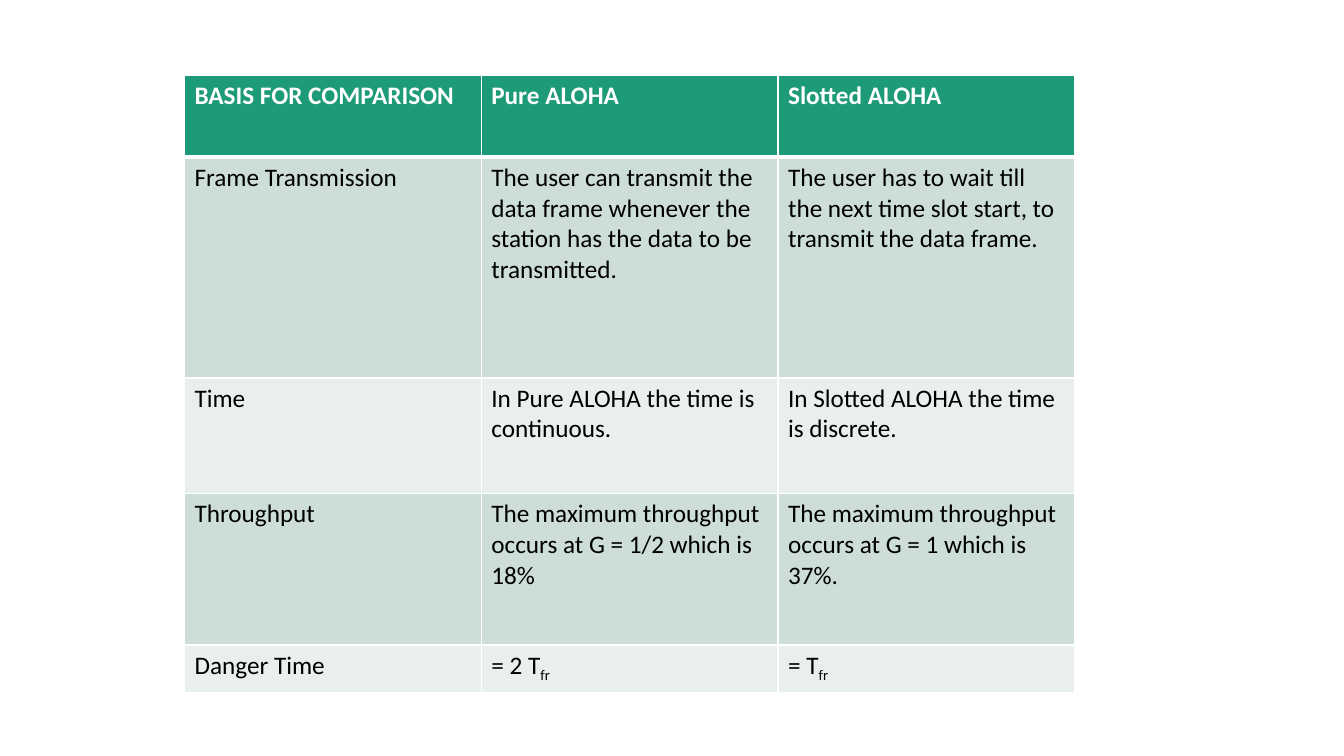
from lxml.etree import SubElement
from pptx import Presentation
from pptx.dml.color import RGBColor
from pptx.oxml.ns import qn
from pptx.util import Inches, Pt

WHITE = RGBColor(0xFF, 0xFF, 0xFF)
BLACK = RGBColor(0x00, 0x00, 0x00)
GREEN = RGBColor(0x1D, 0x9A, 0x78)
SAGE = RGBColor(0xCD, 0xDE, 0xD6)
PALE = RGBColor(0xE8, 0xEF, 0xEC)

# A cell is a text, or a (text, subscript) pair
COMPARISON = [
    ["BASIS FOR COMPARISON", "Pure ALOHA", "Slotted ALOHA"],
    ["Frame Transmission",
     "The user can transmit the data frame whenever the station has the data to be transmitted.",
     "The user has to wait till the next time slot start, to transmit the data frame."],
    ["Time",
     "In Pure ALOHA the time is continuous.",
     "In Slotted ALOHA the time is discrete."],
    ["Throughput",
     "The maximum throughput occurs at G = 1/2 which is 18%",
     "The maximum throughput occurs at G = 1 which is 37%."],
    ["Danger Time", ("= 2 T", "fr"), ("= T", "fr")],
]
ROW_HEIGHTS = [0.81, 2.19, 1.15, 1.5, 0.47]


def add_text(paragraph, text, font="Calibri", size=18, color=BLACK, bold=False, baseline=0):
    run = paragraph.add_run()
    run.text = text
    run.font.name = font
    run.font.size = Pt(size)
    run.font.bold = bold
    run.font.color.rgb = color
    if baseline:
        run._r.get_or_add_rPr().set("baseline", str(baseline * 1000))


class SlideBuilder:
    """Holds the table style and the current slide."""

    header_fill = GREEN
    band_fills = (PALE, SAGE)
    border_color = WHITE
    thin, thick = 1, 3

    def __init__(self, slide):
        self.slide = slide

    def set_borders(self, cell, **widths):
        properties = cell._tc.get_or_add_tcPr()
        for side in ("L", "R", "T", "B"):
            line = SubElement(properties, qn(f"a:ln{side}"), w=str(Pt(widths.get(side, self.thin))))
            fill = SubElement(line, qn("a:solidFill"))
            SubElement(fill, qn("a:srgbClr"), val=str(self.border_color))

    def format_cell(self, cell, content, row):
        is_header = row == 0
        # Borders: a thick rule separates the header from the body
        if is_header:
            self.set_borders(cell, B=self.thick)
        elif row == 1:
            self.set_borders(cell, T=self.thick)
        else:
            self.set_borders(cell)
        # Fill
        cell.fill.solid()
        cell.fill.fore_color.rgb = self.header_fill if is_header else self.band_fills[row % 2]
        # Text
        text, subscript = content if isinstance(content, tuple) else (content, "")
        paragraph = cell.text_frame.paragraphs[0]
        add_text(paragraph, text, color=WHITE if is_header else BLACK, bold=is_header)
        if subscript:
            add_text(paragraph, subscript, baseline=-25)

    def add_table(self, rows, left, top, width, row_heights):
        column_count = len(rows[0])
        shape = self.slide.shapes.add_table(
            len(rows), column_count, Inches(left), Inches(top),
            Inches(width), Inches(sum(row_heights)))
        table = shape.table
        for column in table.columns:
            column.width = Inches(width / column_count)
        for row, contents in enumerate(rows):
            table.rows[row].height = Inches(row_heights[row])
            for column, content in enumerate(contents):
                self.format_cell(table.cell(row, column), content, row)


def main():
    presentation = Presentation()
    presentation.slide_width = Inches(13.33)
    presentation.slide_height = Inches(7.5)
    blank_layout = presentation.slide_layouts[6]
    builder = SlideBuilder(presentation.slides.add_slide(blank_layout))

    # Comparison table
    builder.add_table(COMPARISON, left=1.83, top=0.75, width=8.83, row_heights=ROW_HEIGHTS)

    presentation.save("out.pptx")


if __name__ == "__main__":
    main()
